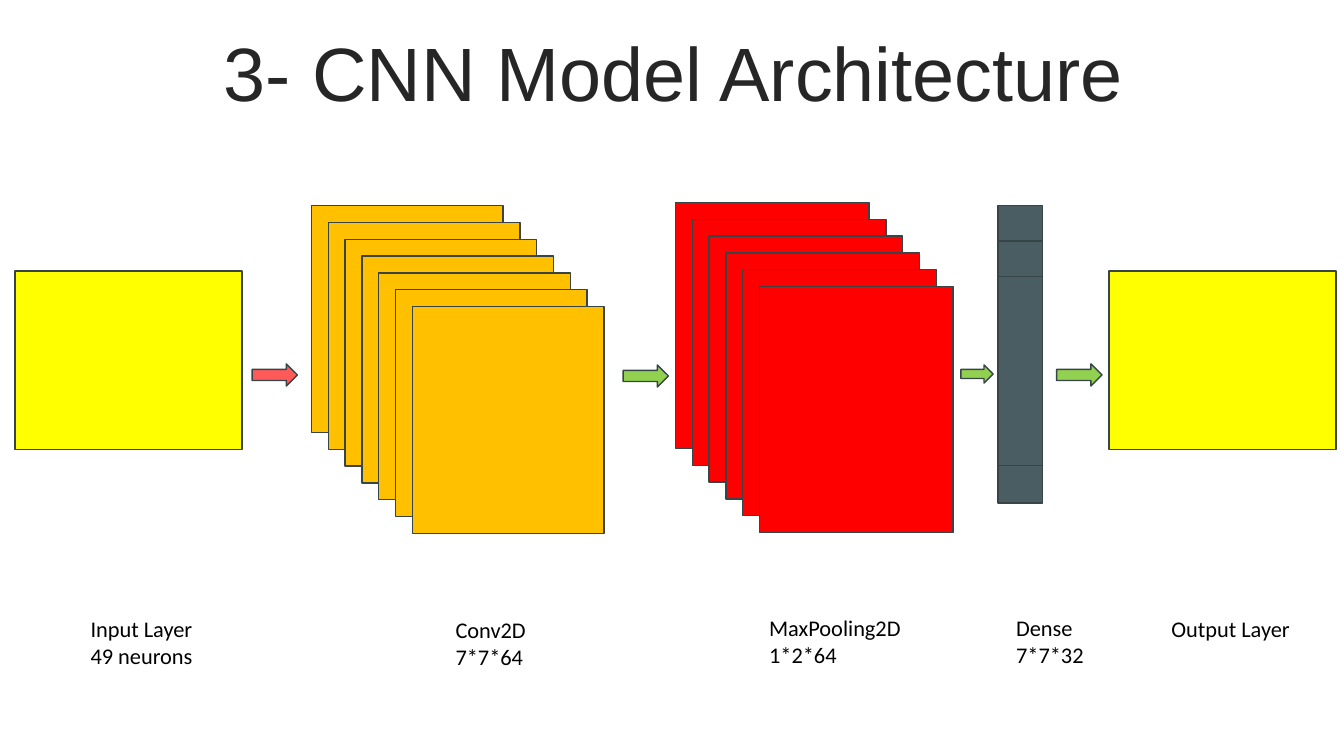
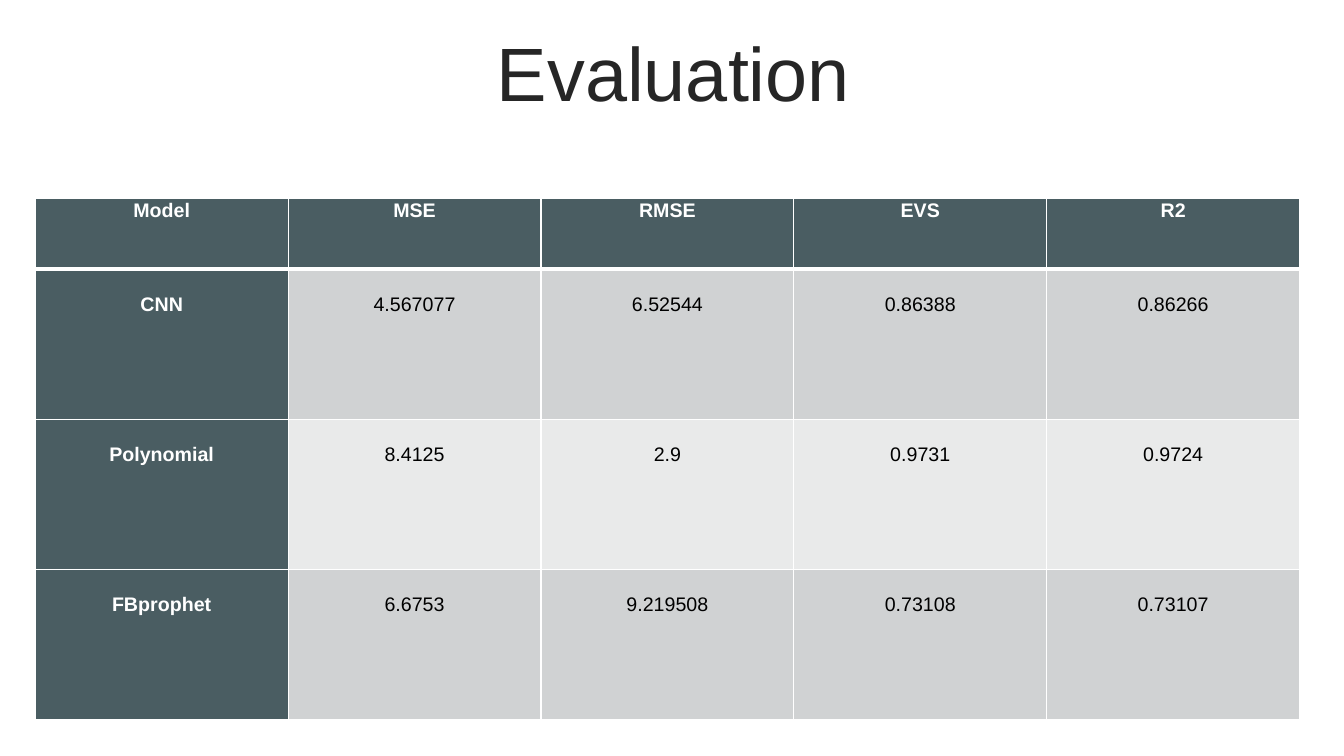
from dataclasses import dataclass

from lxml.etree import SubElement
from pptx import Presentation
from pptx.dml.color import RGBColor
from pptx.enum.shapes import MSO_SHAPE as Preset
from pptx.enum.text import MSO_ANCHOR as Anchor, MSO_AUTO_SIZE as AutoSize, PP_ALIGN as Align
from pptx.oxml.ns import qn
from pptx.util import Inches, Pt


@dataclass(frozen=True)
class Theme:
    heading_font: str = "Arial"
    label_font: str = "Calibri"
    title_size: int = 54
    label_size: int = 16
    table_size: int = 14
    title: str = "262626"
    text: str = "000000"
    white: str = "FFFFFF"
    outline: str = "374549"
    slate: str = "4A5D62"
    band_dark: str = "D0D2D3"
    band_light: str = "E9EAEA"
    yellow: str = "FFFF00"
    amber: str = "FFC000"
    red: str = "FF0000"
    coral: str = "FF5959"
    green: str = "92D050"


class Deck:
    LAYER_STEP = 1 / 6

    def __init__(self, theme):
        self.theme = theme
        self.presentation = Presentation()
        self.presentation.slide_width = Inches(13.33)
        self.presentation.slide_height = Inches(7.5)
        self.slide = None

    def add_slide(self, heading):
        title_only = self.presentation.slide_layouts[5]
        self.slide = self.presentation.slides.add_slide(title_only)
        title = self.slide.shapes.title
        title.left, title.top = Inches(0.35), Inches(0.37)
        title.width, title.height = Inches(12.66), Inches(0.79)
        frame = title.text_frame
        frame.text = heading
        frame.auto_size = AutoSize.NONE
        frame.vertical_anchor = Anchor.MIDDLE
        paragraph = frame.paragraphs[0]
        paragraph.alignment = Align.CENTER
        paragraph.line_spacing = 0.9
        self.style(paragraph, self.theme.heading_font, self.theme.title_size, self.theme.title)

    def style(self, paragraph, font_name, size, color, bold=False):
        for run in paragraph.runs:
            run.font.name = font_name
            run.font.size = Pt(size)
            run.font.bold = bold
            run.font.color.rgb = RGBColor.from_string(color)

    def block(self, left, top, width, height, color, preset=Preset.RECTANGLE):
        block = self.slide.shapes.add_shape(
            preset, Inches(left), Inches(top), Inches(width), Inches(height))
        block.shadow.inherit = False
        block.fill.solid()
        block.fill.fore_color.rgb = RGBColor.from_string(color)
        block.line.color.rgb = RGBColor.from_string(self.theme.outline)
        block.line.width = Pt(1)

    def stack(self, count, left, top, width, height, color, step_x=LAYER_STEP, step_y=LAYER_STEP):
        """Draw overlapping blocks from back to front."""
        for layer in range(count):
            self.block(left + layer * step_x, top + layer * step_y, width, height, color)

    def arrow(self, left, top, color, width=0.45, height=0.22):
        self.block(left, top, width, height, color, Preset.RIGHT_ARROW)

    def label(self, left, top, width, height, caption):
        label = self.slide.shapes.add_textbox(
            Inches(left), Inches(top), Inches(width), Inches(height))
        label.text_frame.word_wrap = True
        label.text_frame.text = caption
        self.style(label.text_frame.paragraphs[0], self.theme.label_font,
                   self.theme.label_size, self.theme.text)

    def border(self, cell, **widths):
        """Give the cell white edges; widths are points by edge letter."""
        properties = cell._tc.get_or_add_tcPr()
        for edge in "LRTB":
            line = SubElement(properties, qn(f"a:ln{edge}"), w=str(Pt(widths.get(edge, 1))))
            fill = SubElement(line, qn("a:solidFill"))
            SubElement(fill, qn("a:srgbClr"), val=self.theme.white)

    def cell(self, cell, text, row, column):
        theme = self.theme
        is_heading = row == 0 or column == 0
        band = theme.band_dark if row % 2 else theme.band_light
        self.border(cell, T=3 if row == 1 else 1, B=3 if row == 0 else 1)
        cell.fill.solid()
        cell.fill.fore_color.rgb = RGBColor.from_string(theme.slate if is_heading else band)
        cell.margin_left = cell.margin_right = Inches(0.07)
        cell.margin_top = Inches(0.23 if row else 0)
        cell.margin_bottom = 0
        cell.text_frame.text = text
        paragraph = cell.text_frame.paragraphs[0]
        paragraph.alignment = Align.CENTER
        paragraph.line_spacing = 1.07
        self.style(paragraph, theme.heading_font, theme.table_size,
                   theme.white if is_heading else theme.text, is_heading)

    def table(self, left, top, width, header_height, row_height, rows):
        columns = len(rows[0])
        height = header_height + row_height * (len(rows) - 1)
        table = self.slide.shapes.add_table(
            len(rows), columns, Inches(left), Inches(top), Inches(width), Inches(height)).table
        table.first_col = True
        table.horz_banding = False
        for column in table.columns:
            column.width = Inches(width / columns)
        for row, texts in enumerate(rows):
            table.rows[row].height = Inches(row_height if row else header_height)
            for column, text in enumerate(texts):
                self.cell(table.cell(row, column), text, row, column)


def architecture_slide(deck):
    theme = deck.theme
    deck.add_slide("3- CNN Model Architecture")

    for left in (0.15, 11):
        deck.block(left, 2.69, 2.25, 1.77, theme.yellow)
    deck.stack(7, 3.09, 2.04, 1.9, 2.25, theme.amber)
    deck.stack(6, 6.7, 2.01, 1.92, 2.44, theme.red)
    deck.stack(3, 9.9, 2.04, 0.44, 1.89, theme.slate, step_x=0, step_y=0.35)
    deck.block(9.9, 4.62, 0.44, 0.37, theme.slate)

    deck.arrow(2.5, 3.61, theme.coral)
    deck.arrow(6.18, 3.62, theme.green)
    deck.arrow(9.53, 3.62, theme.green, width=0.32, height=0.18)
    deck.arrow(10.48, 3.61, theme.green)

    for left, top, width, height, caption in (
        (0.8, 6.05, 1.43, 0.52, "Input Layer\v49 neurons"),
        (4.42, 6.06, 1.37, 0.47, "Conv2D\v7*7*64"),
        (7.53, 6.04, 1.58, 0.53, "MaxPooling2D\v1*2*64"),
        (9.98, 6.04, 1.11, 0.49, "Dense\v7*7*32"),
        (11.52, 6.05, 1.73, 0.77, "Output Layer"),
    ):
        deck.label(left, top, width, height, caption)


def evaluation_slide(deck):
    deck.add_slide("Evaluation")
    deck.table(0.35, 1.97, 12.54, 0.7, 1.49, (
        ("Model", "MSE", "RMSE", "EVS", "R2"),
        ("CNN", "4.567077", "6.52544", "0.86388", "0.86266"),
        ("Polynomial", "8.4125", "2.9", "0.9731", "0.9724"),
        ("FBprophet", "6.6753", "9.219508", "0.73108", "0.73107"),
    ))


def main():
    deck = Deck(Theme())
    architecture_slide(deck)
    evaluation_slide(deck)
    deck.presentation.save("out.pptx")


if __name__ == "__main__":
    main()
